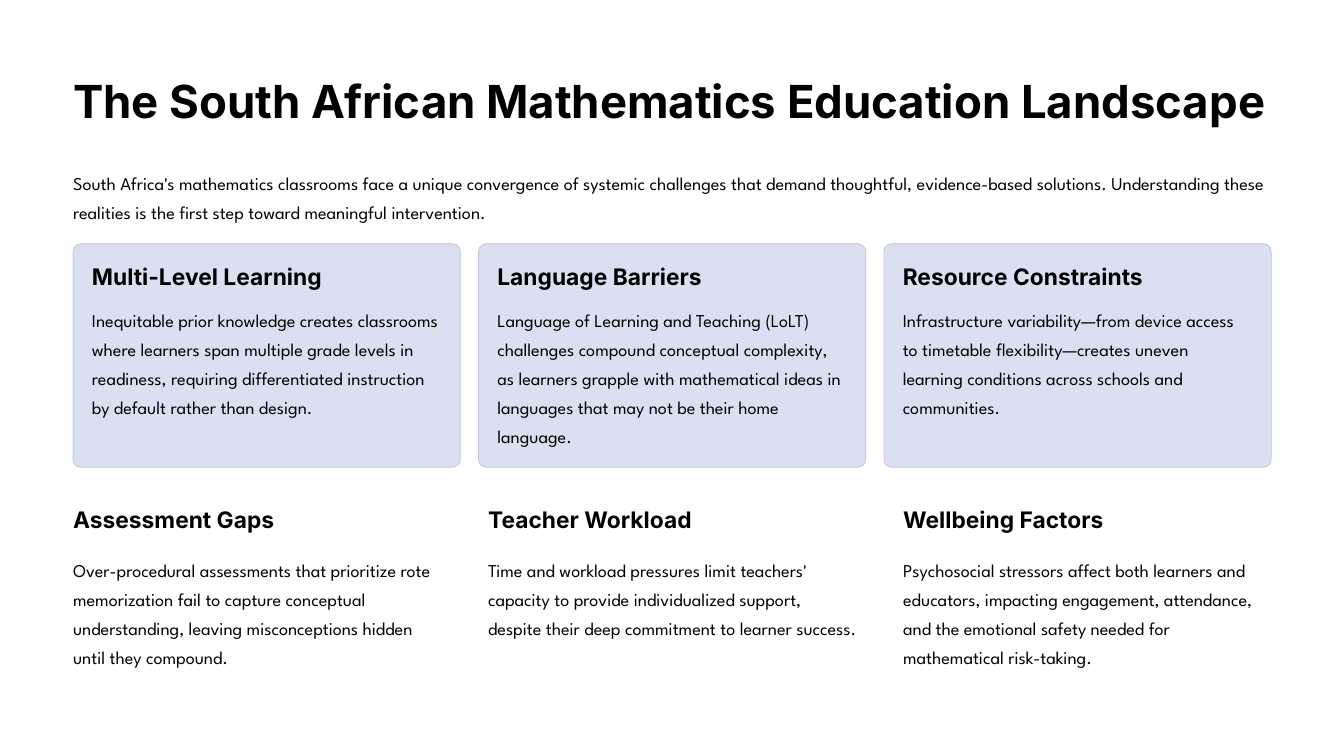
from pptx import Presentation
from pptx.dml.color import RGBColor
from pptx.enum.shapes import MSO_SHAPE as Shape
from pptx.util import Cm, Pt

BLACK = RGBColor(0x00, 0x00, 0x00)
WHITE = RGBColor(0xFF, 0xFF, 0xFF)
CARD_FILL = RGBColor(0xDA, 0xE0, 0xF1)
CARD_LINE = RGBColor(0xC0, 0xC6, 0xD7)
HEADING_FONT = "Inter"
BODY_FONT = "League Spartan"

LEFT = 2.21
CARD_PITCH = 12.26
TOPIC_PITCH = 12.55

TITLE = "The South African Mathematics Education Landscape"
INTRO = (
    "South Africa's mathematics classrooms face a unique convergence of systemic "
    "challenges that demand thoughtful, evidence-based solutions. Understanding these "
    "realities is the first step toward meaningful intervention."
)
CARDS = [
    ("Multi-Level Learning",
     "Inequitable prior knowledge creates classrooms where learners span multiple grade "
     "levels in readiness, requiring differentiated instruction by default rather than "
     "design."),
    ("Language Barriers",
     "Language of Learning and Teaching (LoLT) challenges compound conceptual complexity, "
     "as learners grapple with mathematical ideas in languages that may not be their home "
     "language."),
    ("Resource Constraints",
     "Infrastructure variability—from device access to timetable flexibility—creates "
     "uneven learning conditions across schools and communities."),
]
TOPICS = [
    ("Assessment Gaps",
     "Over-procedural assessments that prioritize rote memorization fail to capture "
     "conceptual understanding, leaving misconceptions hidden until they compound."),
    ("Teacher Workload",
     "Time and workload pressures limit teachers' capacity to provide individualized "
     "support, despite their deep commitment to learner success."),
    ("Wellbeing Factors",
     "Psychosocial stressors affect both learners and educators, impacting engagement, "
     "attendance, and the emotional safety needed for mathematical risk-taking."),
]


def add_text(page, text, left, top, width, height, font, size, spacing, bold, wrap):
    box = page.shapes.add_textbox(Cm(left), Cm(top), Cm(width), Cm(height))
    frame = box.text_frame
    frame.margin_left = frame.margin_right = frame.margin_top = frame.margin_bottom = 0
    frame.word_wrap = wrap
    frame.text = text
    para = frame.paragraphs[0]
    para.line_spacing = Pt(spacing)
    span = para.runs[0]
    span.font.name = font
    span.font.size = Pt(size)
    span.font.bold = bold
    span.font.color.rgb = BLACK


def add_heading(page, text, left, top, width, height=0.86, size=19.5, spacing=24):
    add_text(page, text, left, top, width, height, HEADING_FONT, size, spacing, True, False)


def add_body(page, text, left, top, width, height):
    add_text(page, text, left, top, width, height, BODY_FONT, 15.5, 25, False, True)


def add_header(page, left, top, width):
    add_heading(page, TITLE, left, top, width, 1.73, 39, 48.5)
    add_body(page, INTRO, left, top + 2.82, width, 1.75)


def add_card(page, heading, body, left, top, width, height):
    card = page.shapes.add_shape(
        Shape.ROUNDED_RECTANGLE, Cm(left), Cm(top), Cm(width), Cm(height))
    card.adjustments[0] = 0.034
    card.shadow.inherit = False
    card.fill.solid()
    card.fill.fore_color.rgb = CARD_FILL
    card.line.color.rgb = CARD_LINE
    card.line.width = Pt(0.6)
    padding = 0.57
    inner = width - 2 * padding
    add_heading(page, heading, left + padding, top + 0.56, inner)
    add_body(page, body, left + padding, top + 1.75, inner, height - 2.34)


def add_topic(page, heading, body, left, top, width, height):
    add_heading(page, heading, left, top, width)
    add_body(page, body, left, top + 1.42, width, height - 1.42)


def main():
    deck = Presentation()
    deck.slide_width, deck.slide_height = Cm(40.64), Cm(22.86)
    page = deck.slides.add_slide(deck.slide_layouts[6])
    page.background.fill.solid()
    page.background.fill.fore_color.rgb = WHITE
    add_header(page, LEFT, 2.16, 36.22)
    for column, (heading, body) in enumerate(CARDS):
        add_card(page, heading, body, LEFT + column * CARD_PITCH, 7.37, 11.71, 6.76)
    for column, (heading, body) in enumerate(TOPICS):
        add_topic(page, heading, body, LEFT + column * TOPIC_PITCH, 15.27, 11.18, 4.95)
    deck.save("out.pptx")


if __name__ == "__main__":
    main()
